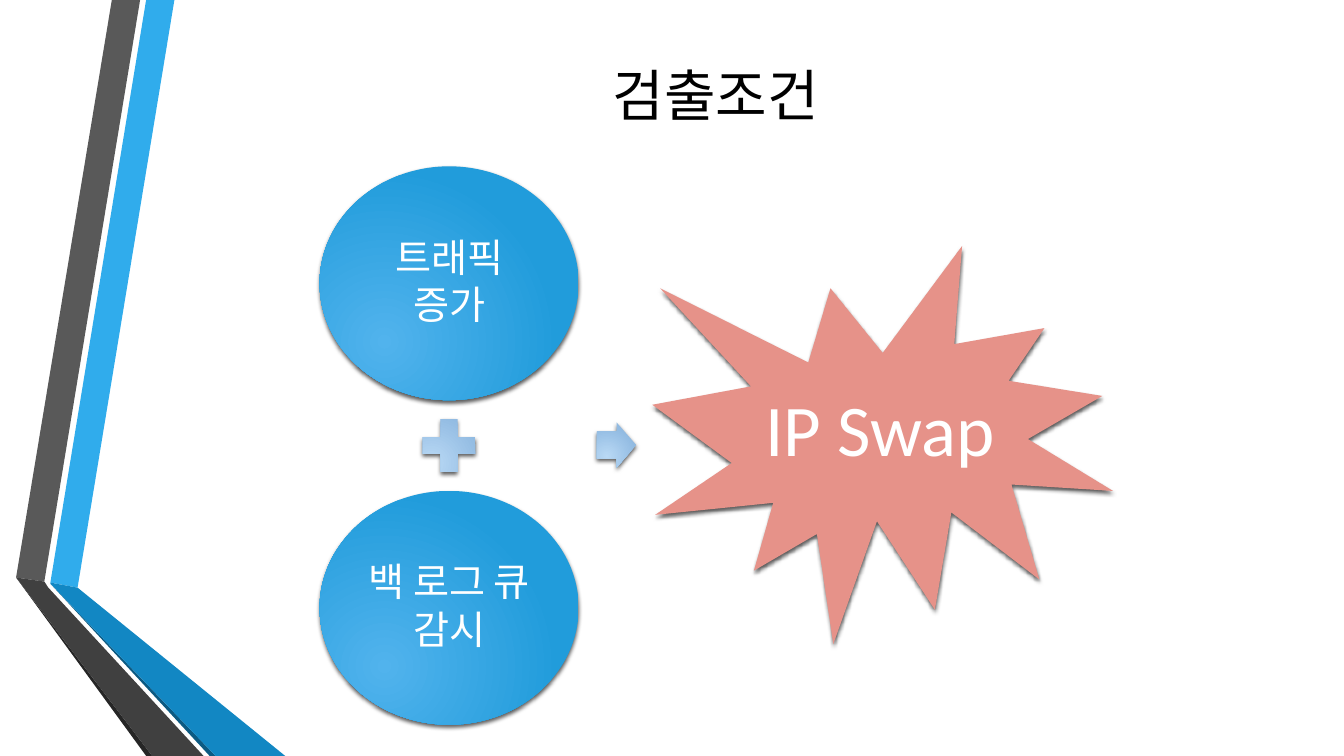
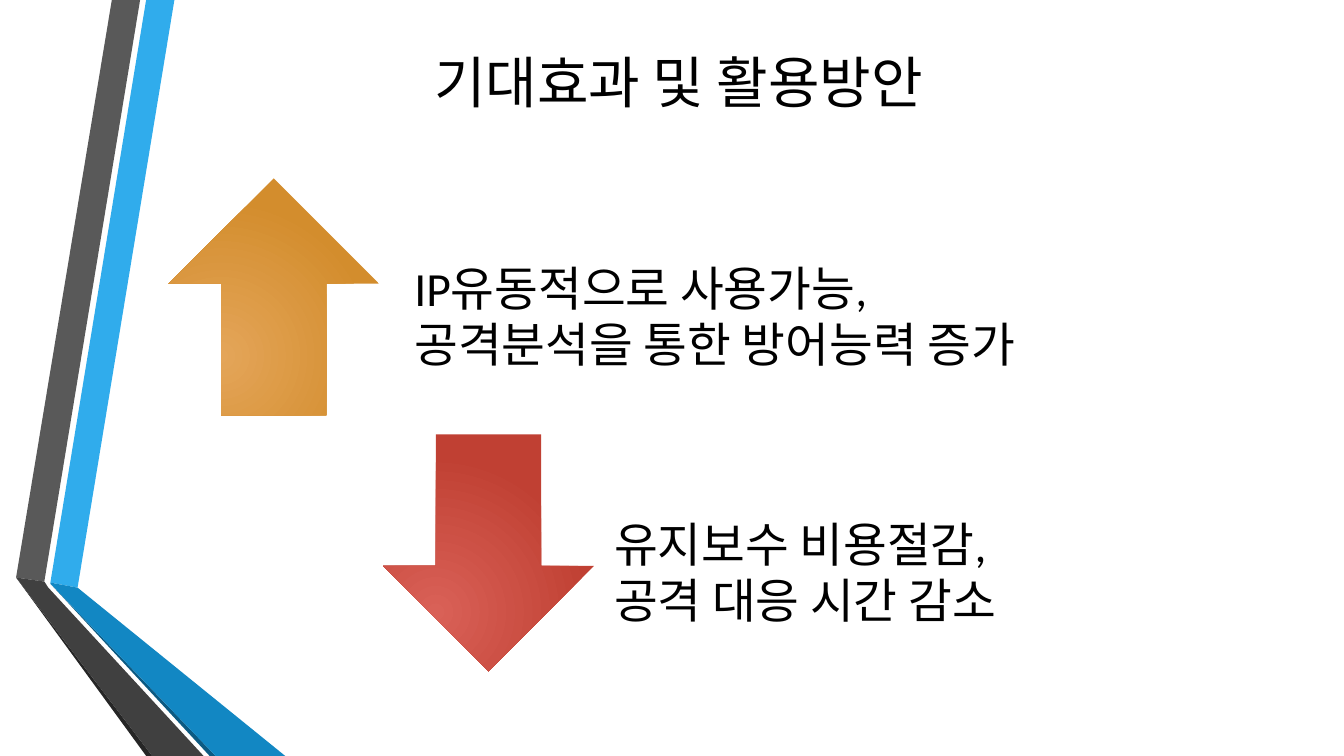
from pptx import Presentation
from pptx import util as u
from pptx.dml.color import RGBColor
from pptx.enum import shapes, text
from pptx.oxml import parse_xml
from pptx.oxml.ns import nsdecls, qn

KIND = shapes.MSO_SHAPE
ALIGN = text.PP_ALIGN

THEME = {
    "font": "Calibri",
    "ink": "000000",
    "light": "FFFFFF",
    "burst": "E69289",
    "blue": ("51B3ED", "219CDB"),
    "pale": ("B9D9F5", "92BBE2"),
    "gold": ("E4A559", "D38D2D"),
    "red": ("D96157", "C04033"),
    "title": 40,
    "cause": 28,
    "goal": 52,
    "effect": 34,
    "lines": 0.9,
    "after": 3.5,
}

BANDS = [
    ("30ACEC", [(0.5, 5.78), (0.77, 5.83), (1.73, 0), (1.45, 0)]),
    ("595959", [(1.39, 0), (1.11, 0), (0.16, 5.73), (0.44, 5.77)]),
    ("262626", [(0.16, 5.73), (1.45, 7.5), (1.51, 7.5)]),
    ("0C5A82", [(0.5, 5.79), (2.08, 7.5), (2.14, 7.5)]),
    ("1287C3", [(0.5, 5.79), (2.14, 7.5), (2.83, 7.5), (0.77, 5.83), (0.5, 5.78)]),
    ("404040", [(2.02, 7.5), (0.48, 5.83), (0.44, 5.77), (0.16, 5.73), (1.51, 7.5)]),
]

CHECK = {
    "title": "검출조건",
    "box": (1.62, 0.34, 10.96, 1.19),
    "causes": [["트래픽", "증가"], ["백 로그 큐", "감시"]],
    "goal": ["IP Swap"],
}

GAIN = {
    "title": "기대효과 및 활용방안",
    "box": (1.25, 0.13, 10.96, 1.34),
    "effects": [
        (KIND.UP_ARROW, "gold", (1.67, 1.77), (3.85, 8.24),
         ["IP유동적으로 사용가능,", "공격분석을 통한 방어능력 증가"]),
        (KIND.DOWN_ARROW, "red", (3.8, 4.31), (5.83, 6.18),
         ["유지보수 비용절감,", "공격 대응 시간 감소"]),
    ],
}


def place(box):
    return [u.Inches(v) for v in box]


def paint(fill, color):
    fill.solid()
    fill.fore_color.rgb = RGBColor.from_string(color)


def glow(shape, pair):
    stops = "".join(
        f'<a:gs pos="{pos}"><a:srgbClr val="{color}"/></a:gs>'
        for pos, color in zip((0, 100000), pair))
    props = shape.element.spPr
    props.find(qn("a:prstGeom")).addnext(parse_xml(
        f'<a:gradFill {nsdecls("a")} rotWithShape="1"><a:gsLst>{stops}</a:gsLst>'
        '<a:path path="circle"><a:fillToRect l="50000" t="100000" r="100000" b="50000"/>'
        '</a:path></a:gradFill>'))


def shade(shape):
    shape.element.spPr.find(qn("a:effectLst")).append(parse_xml(
        f'<a:outerShdw {nsdecls("a")} blurRad="{u.Pt(3)}" dist="{u.Pt(2)}" '
        'dir="5400000" rotWithShape="0"><a:srgbClr val="000000">'
        '<a:alpha val="64000"/></a:srgbClr></a:outerShdw>'))


def draw(slide, kind, box, look, shadow=True):
    shape = slide.shapes.add_shape(kind, *place(box))
    shape.shadow.inherit = False
    shape.line.fill.background()
    if isinstance(THEME[look], tuple):
        glow(shape, THEME[look])
    else:
        paint(shape.fill, THEME[look])
    if shadow:
        shade(shape)
    return shape


def style(run, size, color):
    run.font.name = THEME["font"]
    run.font.size = u.Pt(THEME[size])
    run.font.color.rgb = RGBColor.from_string(THEME[color])


def write(shape, lines, size, color, align, pads):
    frame = shape.text_frame
    frame.word_wrap = True
    frame.vertical_anchor = text.MSO_ANCHOR.MIDDLE
    (frame.margin_left, frame.margin_top,
     frame.margin_right, frame.margin_bottom) = place(pads)
    for i, line in enumerate(lines):
        para = frame.add_paragraph() if i else frame.paragraphs[0]
        para.alignment = align
        para.line_spacing = THEME["lines"]
        para.space_after = u.Pt(THEME["after"])
        run = para.add_run()
        run.text = line
        style(run, size, color)


def start(deck, data):
    slide = deck.slides.add_slide(deck.slide_layouts[5])
    title = slide.shapes.title
    title.left, title.top, title.width, title.height = place(data["box"])
    frame = title.text_frame
    frame.vertical_anchor = text.MSO_ANCHOR.MIDDLE
    para = frame.paragraphs[0]
    para.alignment = ALIGN.CENTER
    run = para.add_run()
    run.text = data["title"]
    style(run, "title", "ink")
    return slide


def ribbon(slide):
    tree = slide.slide_layout.shapes.element
    for i, (color, points) in enumerate(BANDS):
        first, *rest = [place(point) for point in points]
        pen = slide.shapes.build_freeform(*first)
        pen.add_line_segments(rest, close=True)
        band = pen.convert_to_shape()
        band.shadow.inherit = False
        band.line.fill.background()
        paint(band.fill, color)
        tree.insert(2 + i, band.element)


def check(deck):
    slide = start(deck, CHECK)
    ribbon(slide)
    left, top, wide, high, step = 3.17, 1.65, 2.57, 2.32, 3.22
    for i, lines in enumerate(CHECK["causes"]):
        disc = draw(slide, KIND.OVAL, (left, top + i * step, wide, high), "blue")
        write(disc, lines, "cause", "light", ALIGN.CENTER, [0.04] * 4)
    mid = top + (step + high) / 2
    plus = 0.71
    draw(slide, KIND.MATH_PLUS,
         (left + (wide - plus) / 2, mid - plus / 2, plus, plus), "pale")
    arrow = draw(slide, KIND.RIGHT_ARROW, (5.92, mid - 0.23, 0.39, 0.45), "pale")
    arrow.adjustments[0] = 0.6
    burst = draw(slide, KIND.EXPLOSION1, (6.47, mid - 1.98, 4.57, 3.95), "burst")
    write(burst, CHECK["goal"], "goal", "light", ALIGN.CENTER, [0.07] * 4)


def gain(deck):
    slide = start(deck, GAIN)
    wide, high, drop = 2.09, 2.35, 0.35
    for kind, look, (left, top), (edge, span), lines in GAIN["effects"]:
        draw(slide, kind, (left, top, wide, high), look, shadow=False)
        note = slide.shapes.add_textbox(*place((edge, top + drop, span, high)))
        write(note, lines, "effect", "ink", ALIGN.LEFT, (0.26, 0, 0.26, 0.26))


def main():
    deck = Presentation()
    deck.slide_width, deck.slide_height = place((13.33, 7.5))
    check(deck)
    gain(deck)
    deck.save("out.pptx")


if __name__ == "__main__":
    main()
